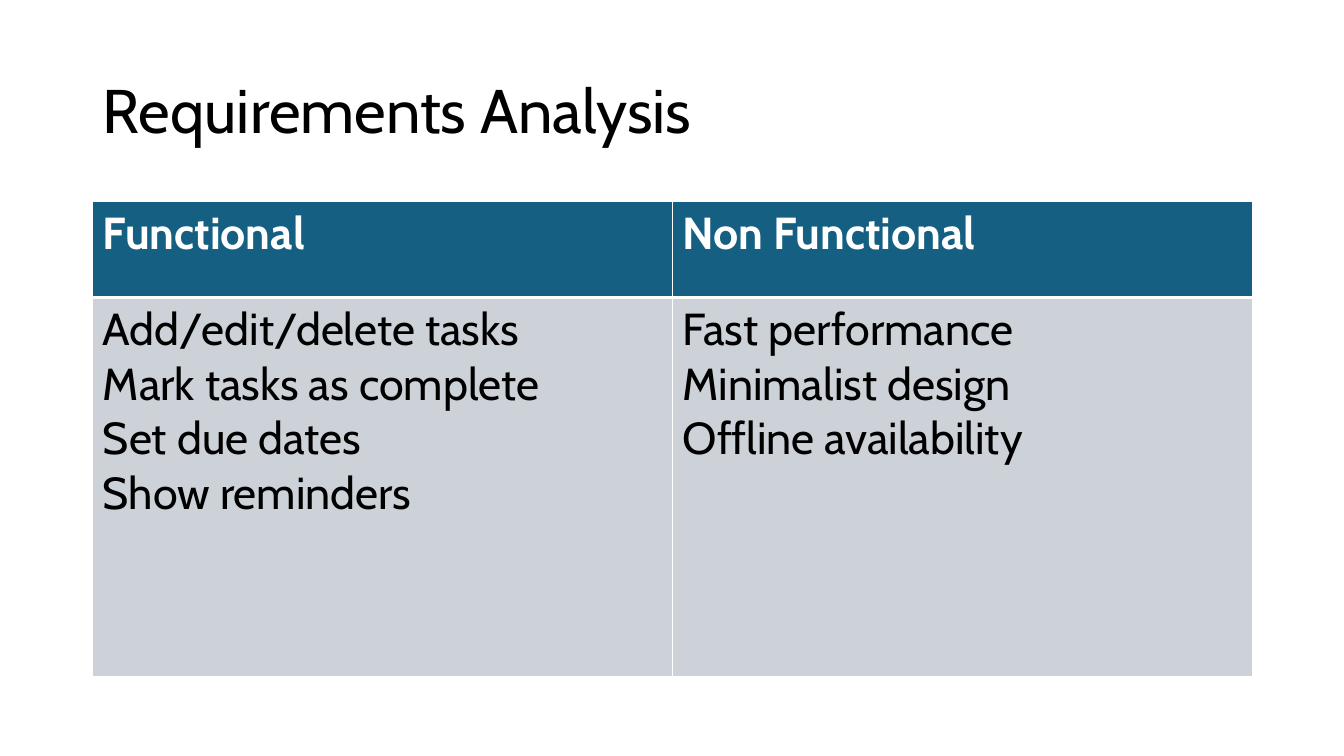
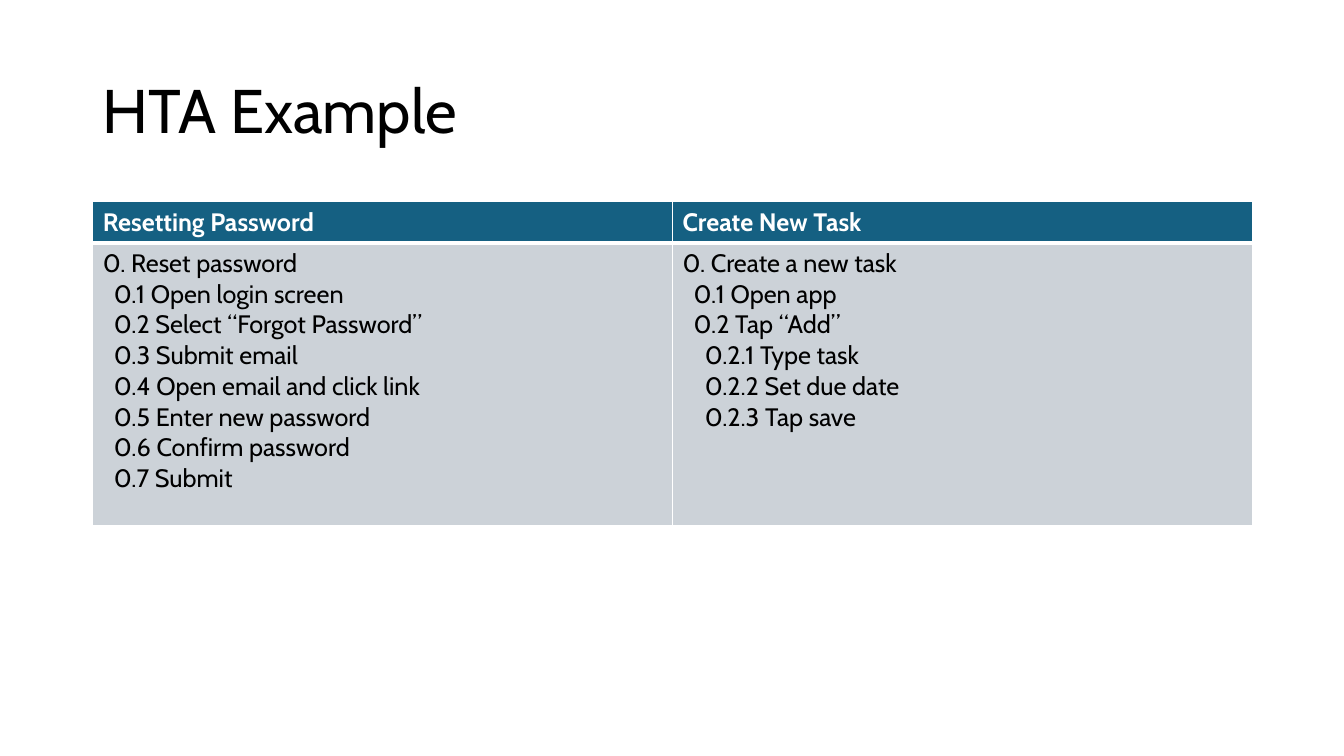
from dataclasses import dataclass

import pptx
import pptx.dml.color
import pptx.enum.text
import pptx.oxml
import pptx.oxml.ns
import pptx.presentation
import pptx.slide
import pptx.table
import pptx.text.text
import pptx.util
from pptx.util import Inches

FONT = "Cabin"
COLORS = {
    "text": "000000",
    "header_text": "FFFFFF",
    "header_fill": "156082",
    "body_fill": "CCD2D8",
    "border": "FFFFFF",
}
LEFT, WIDTH = 0.92, 11.5
TITLE_TOP, TITLE_HEIGHT, TITLE_SIZE = 0.4, 1.45, 44
TABLE_TOP = 2
LEVEL_INDENT = 0.11
THIN, THICK = 1, 3
TITLE_ONLY_LAYOUT = 5


@dataclass(frozen=True)
class Line:
    text: str
    level: int = 0


@dataclass(frozen=True)
class Column:
    heading: str
    lines: list[Line]


@dataclass(frozen=True)
class TableSlide:
    title: str
    columns: list[Column]
    text_size: int
    header_height: float
    body_height: float


SLIDES = [
    TableSlide(
        "Requirements Analysis",
        [
            Column("Functional", [
                Line("Add/edit/delete tasks"),
                Line("Mark tasks as complete"),
                Line("Set due dates"),
                Line("Show reminders"),
            ]),
            Column("Non Functional", [
                Line("Fast performance"),
                Line("Minimalist design"),
                Line("Offline availability"),
            ]),
        ],
        text_size=32, header_height=0.95, body_height=3.76,
    ),
    TableSlide(
        "HTA Example",
        [
            Column("Resetting Password", [
                Line("0. Reset password"),
                Line("0.1 Open login screen", 1),
                Line("0.2 Select “Forgot Password”", 1),
                Line("0.3 Submit email", 1),
                Line("0.4 Open email and click link", 1),
                Line("0.5 Enter new password", 1),
                Line("0.6 Confirm password", 1),
                Line("0.7 Submit", 1),
            ]),
            Column("Create New Task", [
                Line("0. Create a new task"),
                Line("0.1 Open app", 1),
                Line("0.2 Tap “Add”", 1),
                Line("0.2.1 Type task", 2),
                Line("0.2.2 Set due date", 2),
                Line("0.2.3 Tap save", 2),
            ]),
        ],
        text_size=18, header_height=0.41, body_height=2.8,
    ),
]


def rgb(name: str) -> pptx.dml.color.RGBColor:
    return pptx.dml.color.RGBColor.from_string(COLORS[name])


def add_run(paragraph: pptx.text.text._Paragraph, text: str, size: int,
            color: str, bold: bool = False) -> None:
    run = paragraph.add_run()
    run.text = text
    run.font.name = FONT
    run.font.size = pptx.util.Pt(size)
    run.font.bold = bold
    run.font.color.rgb = rgb(color)


def add_title(slide: pptx.slide.Slide, text: str) -> None:
    title = slide.shapes.title
    title.left, title.top = Inches(LEFT), Inches(TITLE_TOP)
    title.width, title.height = Inches(WIDTH), Inches(TITLE_HEIGHT)
    frame = title.text_frame
    frame.word_wrap = True
    frame.auto_size = pptx.enum.text.MSO_AUTO_SIZE.NONE
    frame.vertical_anchor = pptx.enum.text.MSO_ANCHOR.MIDDLE
    paragraph = frame.paragraphs[0]
    paragraph.alignment = pptx.enum.text.PP_ALIGN.LEFT
    paragraph.line_spacing = 0.9
    add_run(paragraph, text, TITLE_SIZE, "text")


def set_borders(cell: pptx.table._Cell, top: int, bottom: int) -> None:
    """Draw the four cell borders; must run before the fill is set."""
    properties = cell._tc.get_or_add_tcPr()
    for side, points in (("L", THIN), ("R", THIN), ("T", top), ("B", bottom)):
        properties.append(pptx.oxml.parse_xml(
            f'<a:ln{side} {pptx.oxml.ns.nsdecls("a")} w="{pptx.util.Pt(points)}">'
            f'<a:solidFill><a:srgbClr val="{COLORS["border"]}"/></a:solidFill>'
            f'</a:ln{side}>'
        ))


def fill_cell(cell: pptx.table._Cell, lines: list[Line], size: int,
              is_header: bool) -> None:
    kind = "header" if is_header else "body"
    if is_header:
        set_borders(cell, THIN, THICK)
    else:
        set_borders(cell, THICK, THIN)
    cell.fill.solid()
    cell.fill.fore_color.rgb = rgb(f"{kind}_fill")
    frame = cell.text_frame
    for index, line in enumerate(lines):
        paragraph = frame.add_paragraph() if index else frame.paragraphs[0]
        if line.level:
            indent = Inches(LEVEL_INDENT * line.level)
            paragraph._p.get_or_add_pPr().set("marL", str(indent))
        add_run(paragraph, line.text, size,
                "header_text" if is_header else "text", bold=is_header)


def add_table(slide: pptx.slide.Slide, content: TableSlide) -> None:
    row_heights = (content.header_height, content.body_height)
    table = slide.shapes.add_table(
        len(row_heights), len(content.columns), Inches(LEFT), Inches(TABLE_TOP),
        Inches(WIDTH), Inches(sum(row_heights)),
    ).table
    table.horz_banding = False
    for row, height in zip(table.rows, row_heights):
        row.height = Inches(height)
    for index, column in enumerate(content.columns):
        table.columns[index].width = Inches(WIDTH / len(content.columns))
        fill_cell(table.cell(0, index), [Line(column.heading)],
                  content.text_size, is_header=True)
        fill_cell(table.cell(1, index), column.lines,
                  content.text_size, is_header=False)


def add_table_slide(presentation: pptx.presentation.Presentation,
                    content: TableSlide) -> None:
    layout = presentation.slide_layouts[TITLE_ONLY_LAYOUT]
    slide = presentation.slides.add_slide(layout)
    add_title(slide, content.title)
    add_table(slide, content)


def main() -> None:
    presentation = pptx.Presentation()
    presentation.slide_width = Inches(13.33)
    presentation.slide_height = Inches(7.5)
    for content in SLIDES:
        add_table_slide(presentation, content)
    presentation.save("out.pptx")


if __name__ == "__main__":
    main()
